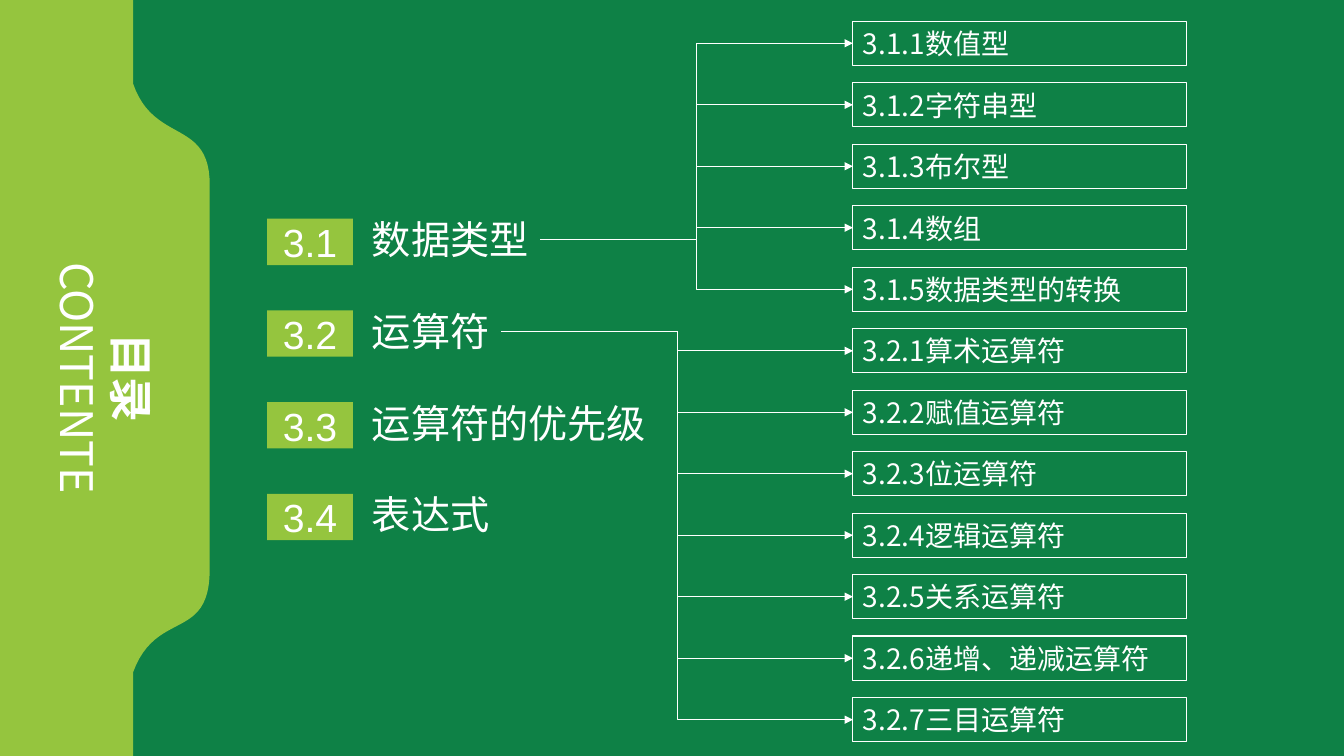
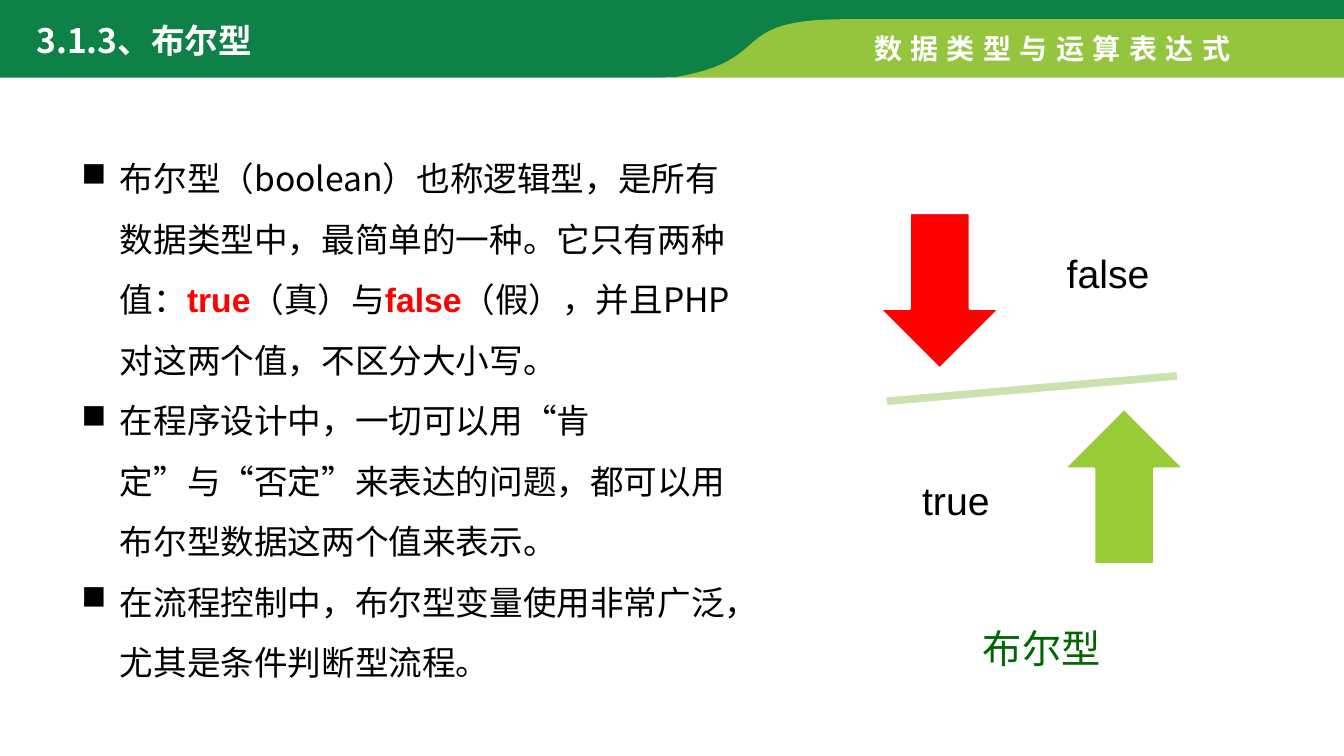
import math
from dataclasses import dataclass
from typing import NamedTuple

import lxml.etree
import pptx
import pptx.dml.color
import pptx.enum.shapes
import pptx.enum.text
import pptx.oxml.ns
import pptx.util

EMU_PER_PX = 9144  # 100 px to the inch
SLIDE_WIDTH, SLIDE_HEIGHT = 1333, 750
COLORS = {
    "dark": "0E8146", "light": "95C53E", "white": "FFFFFF", "black": "000000",
    "red": "FF0000", "arrow": "99CB38", "beam": "CAE2AF", "caption": "006600",
}
SANS, CJK = "Arial", "Noto Sans CJK SC"
SHAPE = pptx.enum.shapes.MSO_SHAPE
ALIGN = pptx.enum.text.PP_ALIGN
ANCHOR = pptx.enum.text.MSO_ANCHOR


class Area(NamedTuple):
    left: int
    top: int
    width: int
    height: int


@dataclass(frozen=True)
class Style:
    size: int
    color: str = "white"
    face: str = CJK
    bold: bool = False
    spacing: int = 0
    align: ALIGN = ALIGN.LEFT
    line_spacing: float = 1.0


@dataclass(frozen=True)
class Chapter:
    number: str
    name: str
    topics: tuple[str, ...] = ()


@dataclass(frozen=True)
class Arrow:
    kind: SHAPE
    area: Area
    color: str
    label: str
    label_area: Area


CHAPTERS = (
    Chapter("3.1", "数据类型", ("数值型", "字符串型", "布尔型", "数组", "数据类型的转换")),
    Chapter("3.2", "运算符", ("算术运算符", "赋值运算符", "位运算符", "逻辑运算符",
                           "关系运算符", "递增、递减运算符", "三目运算符")),
    Chapter("3.3", "运算符的优先级"),
    Chapter("3.4", "表达式"),
)
ARROWS = (
    Arrow(SHAPE.DOWN_ARROW, Area(872, 211, 120, 155), "red", "false", Area(1035, 192, 128, 163)),
    Arrow(SHAPE.UP_ARROW, Area(1055, 405, 120, 155), "arrow", "true", Area(884, 417, 128, 163)),
)
# Each paragraph is a list of (text, is keyword)
BODY = (
    (("布尔型（boolean）也称逻辑型，是所有数据类型中，最简单的一种。它只有两种值：", False),
     ("true", True), ("（真）与", False), ("false", True),
     ("（假），并且PHP对这两个值，不区分大小写。", False)),
    (("在程序设计中，一切可以用“肯定”与“否定”来表达的问题，都可以用布尔型数据这两个值来表示。", False),),
    (("在流程控制中，布尔型变量使用非常广泛，尤其是条件判断型流程。", False),),
)
# Outlines: a pair is a corner, six numbers are a Bézier curve
SIDE_PANEL = ((0, 0), (132, 0), (132, 83), (153, 144, 209, 117, 208, 185), (208, 565),
              (208, 637, 155, 604, 132, 667), (132, 750), (0, 750))
DARK_BAND = ((0, 0), (1333, 0), (1333, 24), (827, 24), (809, 28),
             (727, 44, 770, 77, 655, 77), (0, 77))
LIGHT_BAND = ((839, 19), (1333, 19), (1333, 77), (667, 77), (773, 60, 717, 19, 839, 19))


def px(length: float) -> int:
    return round(length * EMU_PER_PX)


def rgb(name: str) -> pptx.dml.color.RGBColor:
    return pptx.dml.color.RGBColor.from_string(COLORS[name])


def add_xml(parent, tag: str, **attributes: str):
    return lxml.etree.SubElement(parent, pptx.oxml.ns.qn(tag), attributes)


def set_font(font, style: Style) -> None:
    font.size = pptx.util.Pt(style.size)
    font.bold = style.bold
    font.color.rgb = rgb(style.color)
    font.name = style.face
    add_xml(font._rPr, "a:ea", typeface=CJK)
    if style.spacing:
        font._rPr.set("spc", str(style.spacing * 100))


def set_text(shape, lines: list[tuple[str, Style]], anchor=ANCHOR.TOP, inset: int = 0) -> None:
    frame = shape.text_frame
    frame.word_wrap = True
    frame.auto_size = pptx.enum.text.MSO_AUTO_SIZE.NONE
    frame.vertical_anchor = anchor
    frame.margin_left = frame.margin_right = px(inset or 10)
    frame.margin_top = frame.margin_bottom = px(inset or 5)
    frame.text = "\n".join(text for text, _ in lines)
    for paragraph, (_, style) in zip(frame.paragraphs, lines):
        paragraph.alignment = style.align
        paragraph.line_spacing = style.line_spacing
        set_font(paragraph.font, style)


def add_text(page, area: Area, text: str, style: Style, anchor=ANCHOR.TOP, inset: int = 0):
    box = page.shapes.add_textbox(*map(px, area))
    set_text(box, [(text, style)], anchor, inset)
    return box


def add_box(page, kind: SHAPE, area: Area, fill: str = "", line: str = "", width: float = 0.75):
    box = page.shapes.add_shape(kind, *map(px, area))
    box.shadow.inherit = False
    if fill:
        box.fill.solid()
        box.fill.fore_color.rgb = rgb(fill)
    else:
        box.fill.background()
    if line:
        box.line.color.rgb = rgb(line)
        box.line.width = pptx.util.Pt(width)
    else:
        box.line.fill.background()
    return box


def add_outline(page, outline: tuple, fill: str) -> None:
    steps = 24
    points = [outline[0]]
    for part in outline[1:]:
        if len(part) == 2:
            points.append(part)
            continue
        controls = [points[-1], part[:2], part[2:4], part[4:]]
        for step in range(1, steps + 1):
            t = step / steps
            weights = [math.comb(3, i) * t**i * (1 - t)**(3 - i) for i in range(4)]
            points.append(tuple(sum(w * c[axis] for w, c in zip(weights, controls))
                                for axis in (0, 1)))
    corners = [(px(x), px(y)) for x, y in points]
    builder = page.shapes.build_freeform(*corners[0], scale=1.0)
    builder.add_line_segments(corners[1:], close=True)
    shape = builder.convert_to_shape()
    shape.shadow.inherit = False
    shape.fill.solid()
    shape.fill.fore_color.rgb = rgb(fill)
    shape.line.fill.background()


def add_branch(page, source, target) -> None:
    branch = page.shapes.add_connector(
        pptx.enum.shapes.MSO_CONNECTOR.ELBOW,
        source.left + source.width, source.top + source.height // 2,
        target.left, target.top + target.height // 2)
    branch.begin_connect(source, 3)
    branch.end_connect(target, 1)
    branch.line.color.rgb = rgb("white")
    branch.line.width = pptx.util.Pt(0.75)
    add_xml(branch.line._get_or_add_ln(), "a:tailEnd", type="triangle")
    add_xml(branch._element.spPr, "a:effectLst")


def place_title(page, area: Area, lines: list[tuple[str, Style]], rotation: int = 0) -> None:
    title = page.shapes.title
    title.left, title.top, title.width, title.height = map(px, area)
    title.rotation = rotation
    set_text(title, lines)
    page.shapes._spTree.append(title._element)  # in front of the bands


def add_page(deck, background: str):
    page = deck.slides.add_slide(deck.slide_layouts[5])
    page.background.fill.solid()
    page.background.fill.fore_color.rgb = rgb(background)
    return page


def build_contents(deck) -> None:
    page = add_page(deck, "dark")
    add_outline(page, SIDE_PANEL, "light")
    place_title(page, Area(-39, 316, 286, 118),
                [("目录", Style(32, bold=True, align=ALIGN.CENTER)),
                 ("CONTENTE", Style(32, align=ALIGN.CENTER))], rotation=90)
    # Chapters on the left, their topics in one column on the right
    row = 0
    for index, chapter in enumerate(CHAPTERS):
        top = 209 + 91 * index
        label = add_text(page, Area(359, top, 39 * len(chapter.name) + 21, 57),
                         chapter.name, Style(28, face=SANS))
        badge = add_box(page, SHAPE.RECTANGLE, Area(265, top + 8, 85, 46), "light")
        set_text(badge, [(chapter.number, Style(28, face=SANS, align=ALIGN.CENTER))],
                 ANCHOR.MIDDLE)
        for number, topic in enumerate(chapter.topics, 1):
            box = add_box(page, SHAPE.RECTANGLE, Area(846, 21 + 61 * row, 331, 44), line="white")
            set_text(box, [(f"{chapter.number}.{number}{topic}", Style(20))], ANCHOR.MIDDLE)
            add_branch(page, label, box)
            row += 1


def add_body(page) -> None:
    box = page.shapes.add_textbox(*map(px, Area(71, 132, 685, 555)))
    frame = box.text_frame
    frame.word_wrap = True
    for index, spans in enumerate(BODY):
        para = frame.paragraphs[0] if index == 0 else frame.add_paragraph()
        para.line_spacing = 1.5
        properties = para._p.get_or_add_pPr()
        properties.set("marL", str(px(38)))
        properties.set("indent", str(px(-38)))
        add_xml(properties, "a:buChar", char="■")
        set_font(para.font, Style(24, "black"))
        for text, is_keyword in spans:
            span = para.add_run()
            span.text = text
            if is_keyword:
                set_font(span.font, Style(24, "red", SANS, bold=True))


def build_boolean(deck) -> None:
    page = add_page(deck, "white")
    add_body(page)
    # Header bands
    add_outline(page, DARK_BAND, "dark")
    add_outline(page, LIGHT_BAND, "light")
    add_text(page, Area(857, 26, 385, 44), "数据类型与运算表达式",
             Style(20, face=SANS, bold=True, spacing=6))
    place_title(page, Area(26, 15, 377, 50), [("3.1.3、布尔型", Style(24, bold=True))])
    # Balance diagram
    add_text(page, Area(965, 614, 138, 57), "布尔型", Style(28, "caption"))
    beam = add_box(page, SHAPE.MATH_MINUS, Area(825, 363, 397, 45), "beam", "white", 2)
    beam.rotation = 355
    for arrow in ARROWS:
        add_box(page, arrow.kind, arrow.area, arrow.color, "white", 2)
        add_text(page, arrow.label_area, arrow.label,
                 Style(28, "black", SANS, align=ALIGN.CENTER, line_spacing=0.9),
                 ANCHOR.MIDDLE, inset=22)


def main() -> None:
    deck = pptx.Presentation()
    deck.slide_width, deck.slide_height = px(SLIDE_WIDTH), px(SLIDE_HEIGHT)
    build_contents(deck)
    build_boolean(deck)
    deck.save("out.pptx")


if __name__ == "__main__":
    main()
